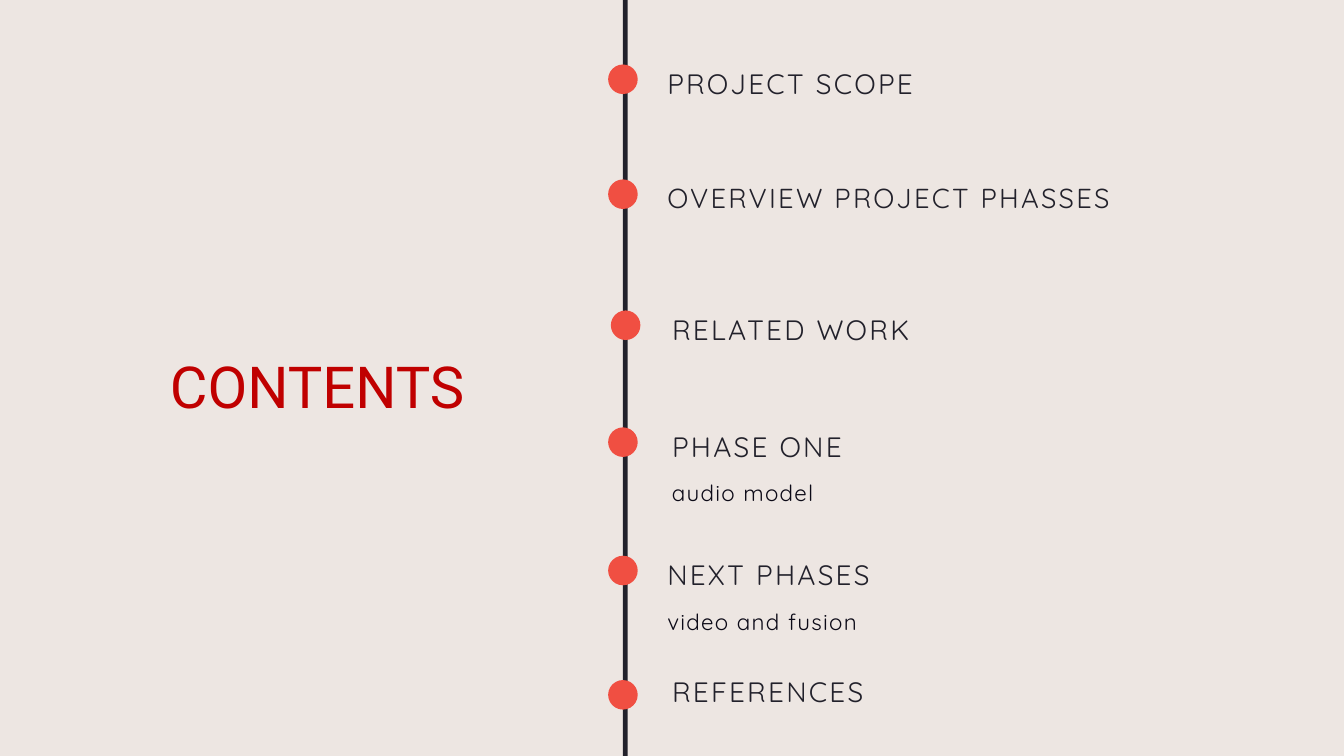
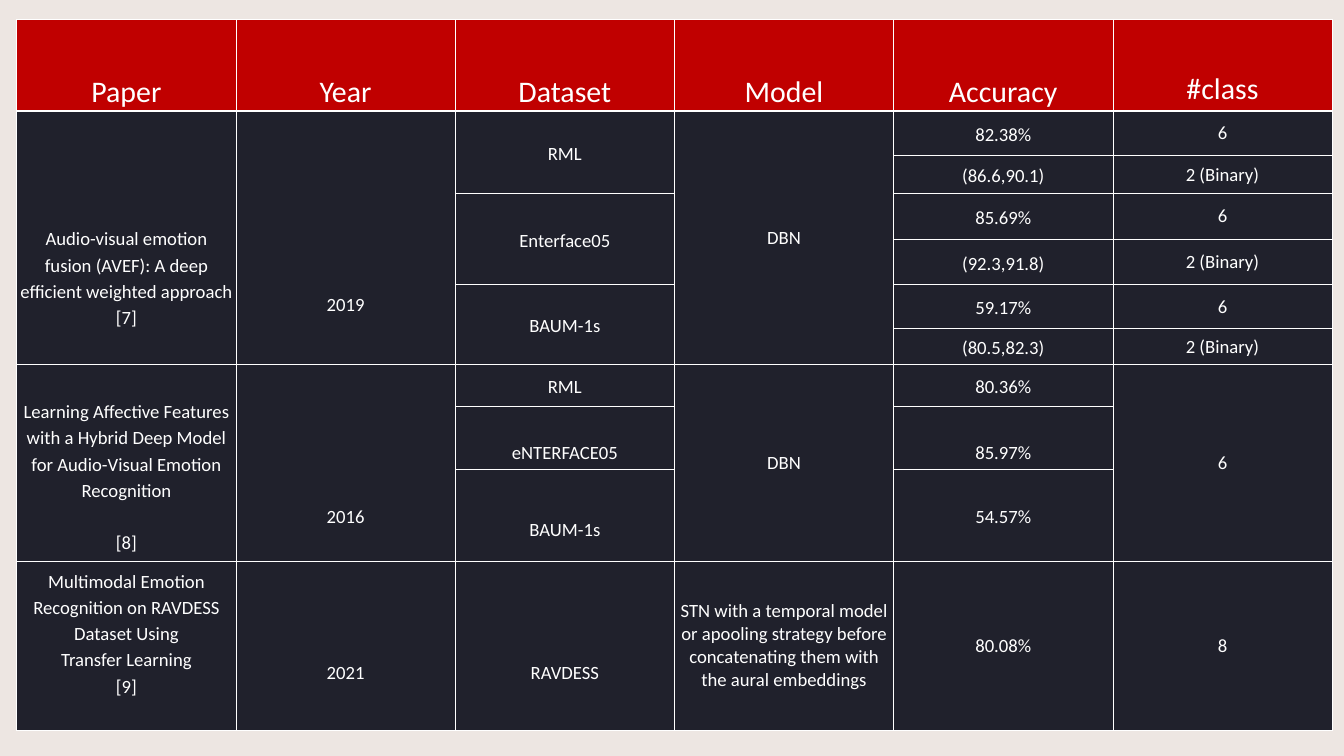
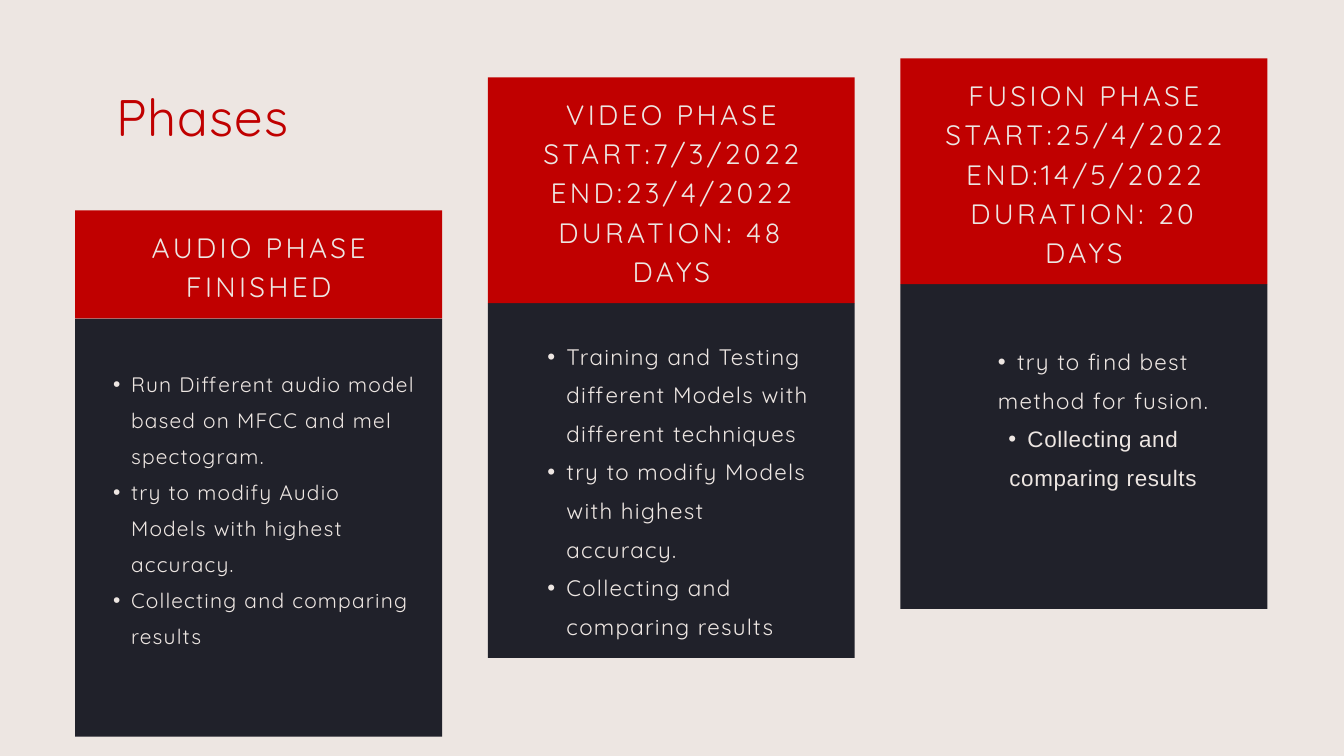
"""Builds the contents, related work and phases slides."""
from collections import namedtuple

from lxml import etree
from pptx import Presentation
from pptx.dml.color import RGBColor
from pptx.enum.shapes import MSO_SHAPE
from pptx.enum.text import MSO_ANCHOR, MSO_AUTO_SIZE, PP_ALIGN
from pptx.oxml.ns import qn
from pptx.util import Inches, Pt

RECTANGLE, OVAL = MSO_SHAPE.RECTANGLE, MSO_SHAPE.OVAL
LEFT, CENTER = PP_ALIGN.LEFT, PP_ALIGN.CENTER
TOP, MIDDLE, BOTTOM = MSO_ANCHOR.TOP, MSO_ANCHOR.MIDDLE, MSO_ANCHOR.BOTTOM
FIT_TEXT = MSO_AUTO_SIZE.SHAPE_TO_FIT_TEXT

UNIT = 0.25
COLUMNS, ROWS = 80, 45
CREAM, INK, NAVY, RED, CORAL, WHITE = "EDE6E2", "22212B", "20212C", "C00000", "F04F42", "FFFFFF"

Style = namedtuple("Style", "size font color tracking leading align", defaults=[LEFT])
Entry = namedtuple("Entry", "row col lines span lead tail gap", defaults=[1, 0, 0, 0])
Phase = namedtuple("Phase", "heading head_top head_rows bottom tasks text_top text_cols style indent")

CONTENTS = Style(62, "Roboto", RED, 0, Pt(74.4))
TOPIC = Style(30, "Quicksand", INK, 2.4, Pt(42))
SUBTOPIC = Style(24, "Quicksand", "0C0A17", 1.4, Pt(41.3))
PHASES = Style(55, "Quicksand", RED, 1.1, Pt(68.2))
HEADING = Style(30, "Quicksand", CREAM, 3.6, Pt(42), CENTER)
TASK = Style(24, "Quicksand", CREAM, 1.4, Pt(41.3))
SMALL_TASK = TASK._replace(size=22.4, tracking=1.3, leading=Pt(38.5))
CENTERED_TASK = TASK._replace(align=CENTER)
TABLE_HEAD = Style(32, "Calibri", WHITE, 0, 1.15, CENTER)
TABLE_TEXT = TABLE_HEAD._replace(size=20)
TABLE_PLAIN = TABLE_TEXT._replace(leading=1.0)
LINE = 0.39


def rgb(value):
    """Turn a hex string into a colour."""
    return RGBColor.from_string(value)


def grid(*cells):
    """Turn grid units into lengths."""
    return [Inches(cell * UNIT) for cell in cells]


class Deck:
    """Holds the presentation, its grid and the current page."""

    def __init__(self):
        """Start an empty presentation."""
        self.deck = Presentation()
        self.deck.slide_width, self.deck.slide_height = grid(COLUMNS, ROWS)
        self.page = None

    def new_page(self):
        """Add a blank page with the shared background."""
        self.page = self.deck.slides.add_slide(self.deck.slide_layouts[6])
        self.page.background.fill.solid()
        self.page.background.fill.fore_color.rgb = rgb(CREAM)

    def add_lines(self, frame, lines, style, bullet=0.0, gap=0):
        """Add one paragraph per line, with a gap before the last."""
        for index, line in enumerate(lines):
            para = frame.add_paragraph() if index else frame.paragraphs[0]
            if bullet:
                self.add_bullet(para, bullet)
            para.alignment = style.align
            para.line_spacing = style.leading
            if gap and index == len(lines) - 1:
                para.space_before = Pt(gap)
            self.add_run(para, line, style)

    def add_run(self, para, text, style):
        """Add a styled run to a paragraph."""
        span = para.add_run()
        span.text = text
        span.font.size, span.font.name = Pt(style.size), style.font
        span.font.color.rgb = rgb(style.color)
        if style.tracking:
            span._r.get_or_add_rPr().set("spc", str(round(style.tracking * 100)))

    def add_bullet(self, para, indent):
        """Give a paragraph a hanging bullet."""
        para.level = 1
        properties = para._p.get_or_add_pPr()
        properties.set("marL", str(Inches(indent)))
        properties.set("indent", str(-Inches(indent / 2)))
        etree.SubElement(properties, qn("a:buFont")).set("typeface", "Arial")
        etree.SubElement(properties, qn("a:buChar")).set("char", "•")

    def fit(self, box):
        """Remove the insets of a box and let it grow with its text."""
        frame = box.text_frame
        frame.margin_left = frame.margin_right = frame.margin_top = frame.margin_bottom = 0
        frame.word_wrap = True
        frame.auto_size = FIT_TEXT
        frame.vertical_anchor = TOP
        return frame

    def text(self, area, lines, style, bullet=0.0):
        """Add a text box."""
        frame = self.fit(self.page.shapes.add_textbox(*grid(*area)))
        self.add_lines(frame, lines, style, bullet)
        return frame

    def shape(self, area, color, kind=RECTANGLE):
        """Add a flat shape without outline."""
        box = self.page.shapes.add_shape(kind, *grid(*area))
        box.shadow.inherit = False
        box.fill.solid()
        box.fill.fore_color.rgb = rgb(color)
        box.line.fill.background()
        return box

    def table(self, left, top, widths, heights):
        """Add a table with white rules, a red head and a dark body."""
        area = grid(left, top, sum(widths), sum(heights))
        table = self.page.shapes.add_table(len(heights), len(widths), *area).table
        table.horz_banding = False
        for column, width in zip(table.columns, grid(*widths)):
            column.width = width
        for index, (row, height) in enumerate(zip(table.rows, grid(*heights))):
            row.height = height
            for cell in row.cells:
                self.rule(cell, 1 if index else 3)
                cell.fill.solid()
                cell.fill.fore_color.rgb = rgb(NAVY if index else RED)
        return table

    def rule(self, cell, bottom):
        """Draw the four borders of a cell."""
        properties = cell._tc.get_or_add_tcPr()
        for side, width in (("L", 1), ("R", 1), ("T", 1), ("B", bottom)):
            line = etree.SubElement(properties, qn("a:ln" + side), w=str(Pt(width)))
            fill = etree.SubElement(line, qn("a:solidFill"))
            etree.SubElement(fill, qn("a:srgbClr"), val=WHITE)

    def cell(self, cell, lines, style, insets, anchor=MIDDLE, gap=0):
        """Fill a table cell; insets are side, top and bottom in inches."""
        side, top, bottom = insets
        cell.margin_left = cell.margin_right = Inches(side)
        cell.margin_top, cell.margin_bottom = Inches(top), Inches(bottom)
        cell.vertical_anchor = anchor
        self.add_lines(cell.text_frame, lines, style, gap=gap)


TOPICS = [
    ("PROJECT SCOPE", None, 36.2, 3.84, 39.72, 3.64),
    ("OVERVIEW PROJECT PHASSES", None, 36.2, 10.68, 39.72, 10.44),
    ("RELATED WORK", None, 36.36, 18.48, 40, 18.28),
    ("PHASE ONE", "audio model", 36.2, 25.44, 40, 25.24),
    ("NEXT PHASES", "video and fusion", 36.2, 33.08, 39.72, 32.88),
    ("REFERENCES", None, 36.2, 40.48, 40, 39.84),
]

HEADERS = ["Paper", "Year", "Dataset", "Model", "Accuracy", "#class"]
ROW_HEIGHTS = [5.44, 2.68, 2.24, 2.72, 2.72, 2.6, 2.16, 2.48, 3.76, 5.44, 10.08]
ENTRIES = [
    Entry(1, 0, ["Audio-visual emotion fusion (AVEF): A deep efficient weighted approach", "[7]"], 6, 3),
    Entry(1, 1, ["2019"], 6, 5),
    Entry(1, 2, ["RML"], 2),
    Entry(3, 2, ["Enterface05"], 2),
    Entry(5, 2, ["BAUM-1s"], 2),
    Entry(1, 3, ["DBN"], 6),
    Entry(7, 0, ["Learning Affective Features with a Hybrid Deep Model for Audio-Visual Emotion Recognition",
                 "[8]"], 3, 1, gap=28),
    Entry(7, 1, ["2016"], 3, 4),
    Entry(7, 2, ["RML"]),
    Entry(8, 2, ["eNTERFACE05"], lead=1),
    Entry(9, 2, ["BAUM-1s"], lead=1),
    Entry(7, 3, ["DBN"], 3),
    Entry(7, 4, ["80.36%"]),
    Entry(8, 4, ["85.97%"], lead=1),
    Entry(9, 4, ["54.57%"]),
    Entry(7, 5, ["6"], 3),
    Entry(10, 0, ["Multimodal Emotion Recognition on RAVDESS Dataset Using", "Transfer Learning", "[9]"], tail=1),
    Entry(10, 1, ["2021"], lead=2),
    Entry(10, 2, ["RAVDESS"], lead=2),
    Entry(10, 3, ["STN with a temporal model or apooling strategy before "
                  "concatenating them with the aural embeddings"]),
    Entry(10, 4, ["80.08%"]),
    Entry(10, 5, ["8"]),
]
FUSION_SCORES = ["82.38%", "(86.6,90.1)", "85.69%", "(92.3,91.8)", "59.17%", "(80.5,82.3)"]
for number, score in enumerate(FUSION_SCORES):
    ENTRIES.append(Entry(number + 1, 4, [score]))
    ENTRIES.append(Entry(number + 1, 5, ["2 (Binary)" if number % 2 else "6"]))

PHASE_LIST = [
    Phase(["AUDIO PHASE", "FINISHED"], 12.52, 6.44, 43.84,
          ["Run Different audio model based on MFCC and mel spectogram.",
           "try to modify Audio Models with highest accuracy.",
           "Collecting and comparing results"], 21.48, 19.44, SMALL_TASK, 0.53),
    Phase(["VIDEO PHASE", "START:7/3/2022", "END:23/4/2022", "DURATION: 48 DAYS"], 4.6, 13.44, 39.16,
          ["Training and Testing different Models with different techniques",
           "try to modify Models with highest accuracy.",
           "Collecting and comparing results"], 19.72, 17.04, TASK, 0.57),
    Phase(["FUSION PHASE", "START:25/4/2022", "END:14/5/2022", "DURATION: 20 DAYS"], 3.48, 13.44, 36.24,
          ["try to find best method for fusion.",
           "Collecting and comparing results"], 20.04, 17.04, CENTERED_TASK, 0.57),
]


def contents_page(deck):
    """Draw the contents along a vertical timeline."""
    deck.new_page()
    deck.text((10.12, 20.88, 24.28, 4.12), ["CONTENTS"], CONTENTS)
    deck.shape((37.08, 0, 0.28, ROWS), INK)
    for topic, detail, dot_left, dot_top, left, top in TOPICS:
        deck.shape((dot_left, dot_top, 1.76, 1.76), CORAL, OVAL)
        style = TOPIC
        if topic.startswith("OVERVIEW"):
            style = TOPIC._replace(size=29.4, leading=Pt(41.2))
        deck.text((left, top, 33.16, 2.2), [topic], style)
        if detail:
            deck.text((left, top + 2.6, 33.2, 2.04), [detail], SUBTOPIC)


def related_work_page(deck):
    """Draw the table of related papers."""
    deck.new_page()
    table = deck.table(1, 1.16, [13.05] * len(HEADERS), ROW_HEIGHTS)
    for col, header in enumerate(HEADERS):
        lift = 0.05 if header == "#class" else 0
        deck.cell(table.cell(0, col), [header], TABLE_HEAD, (0.05, 0, lift), BOTTOM)
    for entry in ENTRIES:
        cell = table.cell(entry.row, entry.col)
        if entry.span > 1:
            cell.merge(table.cell(entry.row + entry.span - 1, entry.col))
        if entry.col in (3, 5) or (entry.row == 10 and entry.col == 4):
            deck.cell(cell, entry.lines, TABLE_PLAIN, (0.07, 0.03, 0.03))
        else:
            insets = (0.05, 0.05 + entry.lead * LINE, 0.05 + entry.tail * LINE)
            deck.cell(cell, entry.lines, TABLE_TEXT, insets, gap=entry.gap)


def phases_page(deck):
    """Draw one panel per project phase."""
    deck.new_page()
    deck.text((6.92, 4.96, 47.48, 3.6), ["Phases"], PHASES)
    width, label_width = 21.84, 17.16
    for index, phase in enumerate(PHASE_LIST):
        left = 4.48 + index * 24.56
        body_top = phase.head_top + phase.head_rows
        deck.shape((left, body_top, width, phase.bottom - body_top), "20212A")
        deck.shape((left, phase.head_top, width, phase.head_rows), RED)
        label_left = left + (width - label_width) / 2
        label = deck.shape((label_left, phase.head_top + 0.87, label_width, phase.head_rows - 1.88), RED)
        deck.add_lines(deck.fit(label), phase.heading, HEADING)
        text_left = left + (width - phase.text_cols) / 2
        area = (text_left, phase.text_top, phase.text_cols, phase.bottom - phase.text_top)
        frame = deck.text(area, phase.tasks, phase.style, phase.indent)
    closing = frame.paragraphs[-1].runs[0]
    closing.font.name = "Arial"
    closing._r.get_or_add_rPr().set("spc", "70")


def main():
    """Build and save the deck."""
    deck = Deck()
    contents_page(deck)
    related_work_page(deck)
    phases_page(deck)
    deck.deck.save("out.pptx")


if __name__ == "__main__":
    main()
